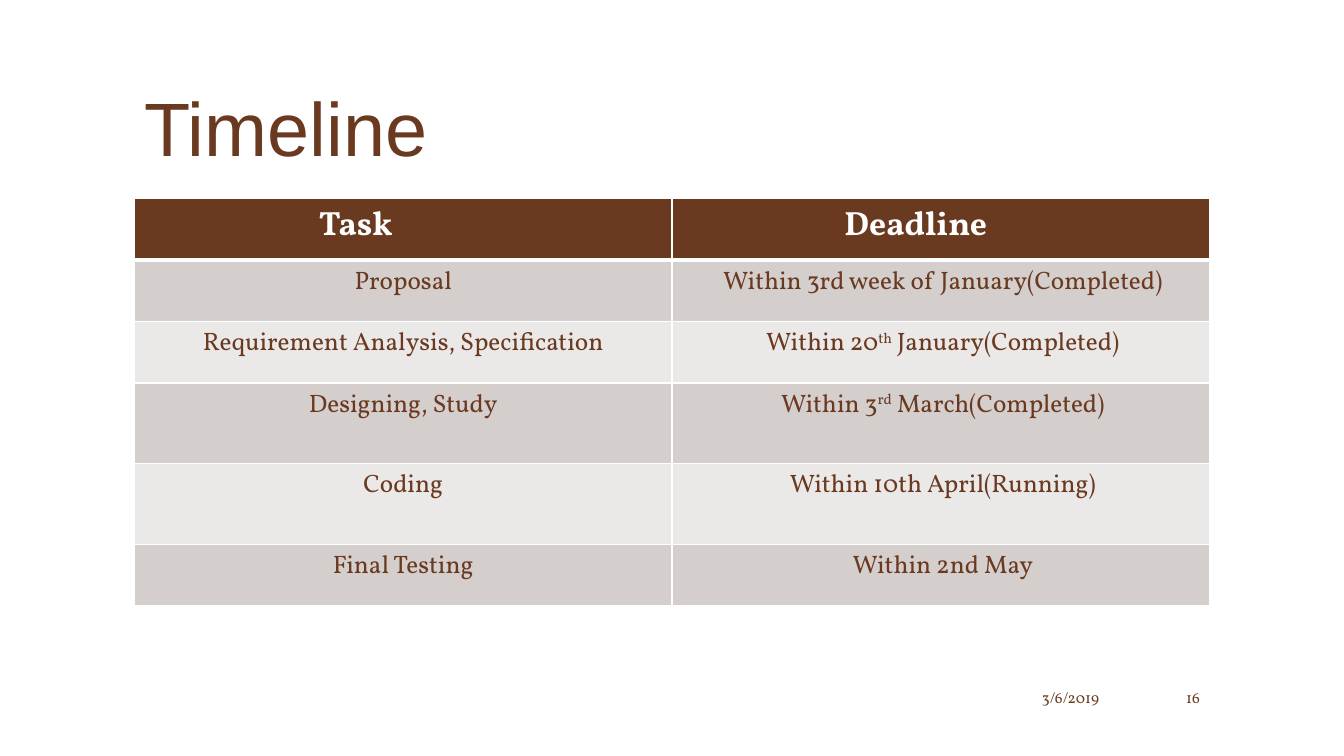
import pptx
import pptx.util
import pptx.dml.color
import pptx.enum.text
from lxml import etree
from pptx.oxml.ns import qn

In, Pt = pptx.util.Inches, pptx.util.Pt
RGB = pptx.dml.color.RGBColor.from_string
ALIGN = pptx.enum.text.PP_ALIGN
ANCHOR = pptx.enum.text.MSO_ANCHOR

TITLE = "Timeline"
HEADERS = ["Task", "Deadline"]
# A tuple alternates normal and superscript text.
TASKS = [
    ("Proposal", ("Within 3rd week of January(Completed)",)),
    ("Requirement Analysis, Specification", ("Within 20", "th", " January(Completed)")),
    ("Designing, Study", ("Within 3", "rd", " March(Completed)")),
    ("Coding", ("Within 10th April(Running)",)),
    ("Final Testing", ("Within 2nd May",)),
]
DATE, PAGE = "3/6/2019", "16"

THEME = {
    "brown": "6A3A20", "white": "FFFFFF", "bands": ["D4CECD", "EBE8E8"],
    "title": {"name": "Arial", "size": Pt(54), "bold": False},
    "header": {"name": "Vollkorn", "size": Pt(24), "bold": True},
    "body": {"name": "Vollkorn", "size": Pt(18), "bold": False},
    "footer": {"name": "Vollkorn", "size": Pt(11), "bold": False},
}

W, H = 13.33, 7.5
LEFT, WIDTH = W * 0.1, W * 0.8
TABLE_TOP = 1.97
ROW_HEIGHTS = [0.61, 0.61, 0.61, 0.8, 0.8, 0.61]
HEADER_INDENTS = [1.83, 1.71]
BODY_INDENTS = [0.1, 0.14]
FOOTER_TOP, FOOTER_HEIGHT = H * 0.9, 0.33


def write(tf, parts, style, color, align=ALIGN.LEFT):
    """Fill the first paragraph; every second part is superscript."""
    p = tf.paragraphs[0]
    p.alignment = align
    for i, text in enumerate(parts):
        r = p.add_run()
        r.text = text
        for key, value in THEME[style].items():
            setattr(r.font, key, value)
        r.font.color.rgb = RGB(color)
        if i % 2:
            r._r.get_or_add_rPr().set("baseline", "30000")


def add_text(s, text, box, style, anchor, align):
    tf = s.shapes.add_textbox(*map(In, box)).text_frame
    tf.word_wrap = True
    tf.vertical_anchor = anchor
    write(tf, [text], style, THEME["brown"], align)


def set_borders(cell, bottom):
    tcPr = cell._tc.get_or_add_tcPr()
    for side, width in {"L": 1, "R": 1, "T": 1, "B": bottom}.items():
        ln = etree.SubElement(tcPr, qn("a:ln" + side), w=str(Pt(width)))
        fill = etree.SubElement(ln, qn("a:solidFill"))
        etree.SubElement(fill, qn("a:srgbClr"), val=THEME["white"])


def add_timeline(s):
    rows = [[(h,) for h in HEADERS]] + [[(task,), due] for task, due in TASKS]
    table = s.shapes.add_table(len(rows), len(HEADERS), In(LEFT), In(TABLE_TOP),
                               In(WIDTH), In(sum(ROW_HEIGHTS))).table
    table.horz_banding = False
    for i, row in enumerate(rows):
        table.rows[i].height = In(ROW_HEIGHTS[i])
        header = i == 0
        for j, parts in enumerate(row):
            cell = table.cell(i, j)
            cell.margin_left = In((HEADER_INDENTS if header else BODY_INDENTS)[j])
            set_borders(cell, 3 if header else 1)
            cell.fill.solid()
            cell.fill.fore_color.rgb = RGB(
                THEME["brown"] if header else THEME["bands"][(i - 1) % 2])
            write(cell.text_frame, parts, "header" if header else "body",
                  THEME["white"] if header else THEME["brown"],
                  ALIGN.LEFT if header else ALIGN.CENTER)


def main():
    prs = pptx.Presentation()
    prs.slide_width, prs.slide_height = In(W), In(H)
    s = prs.slides.add_slide(prs.slide_layouts[6])
    add_text(s, TITLE, (LEFT, 0.47, WIDTH, 1.28), "title", ANCHOR.BOTTOM, ALIGN.LEFT)
    add_timeline(s)
    for text, left, width in [(DATE, 9.67, 1.33), (PAGE, 11.22, 0.78)]:
        add_text(s, text, (left, FOOTER_TOP, width, FOOTER_HEIGHT),
                 "footer", ANCHOR.MIDDLE, ALIGN.RIGHT)
    prs.save("out.pptx")


if __name__ == "__main__":
    main()
